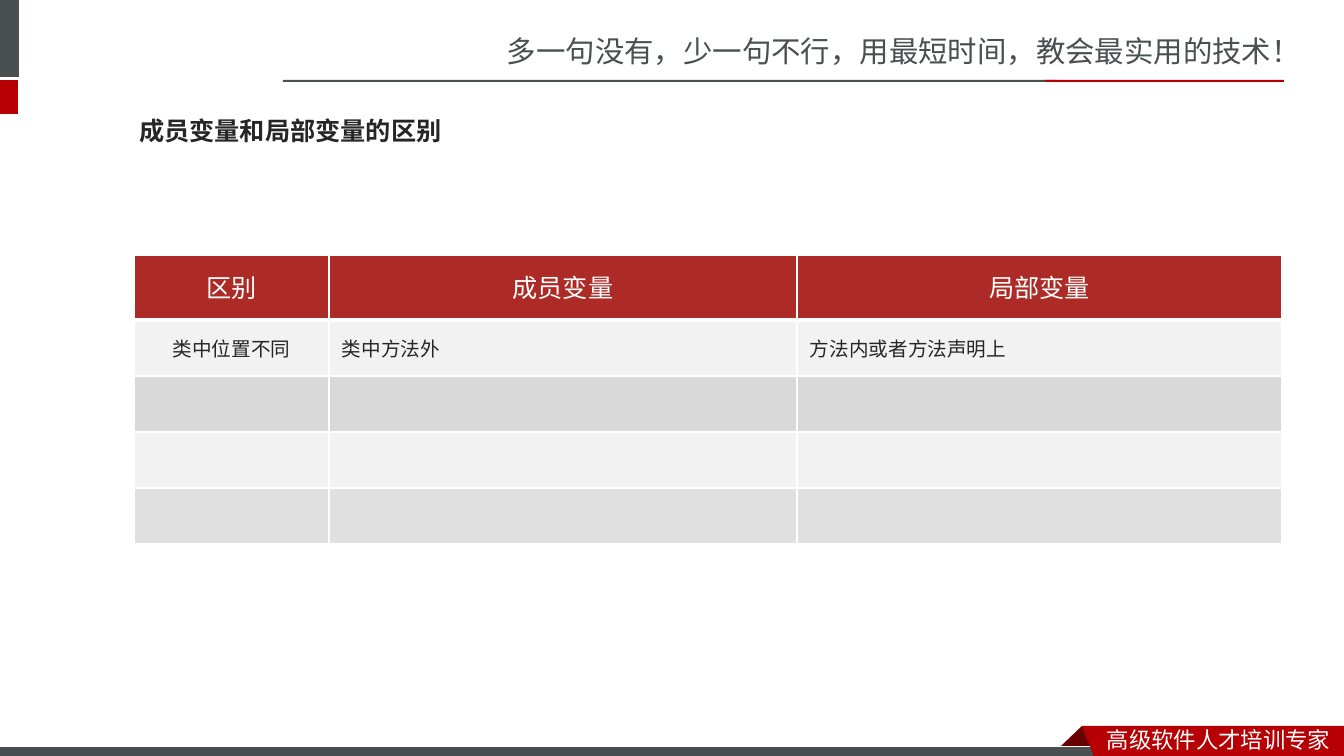
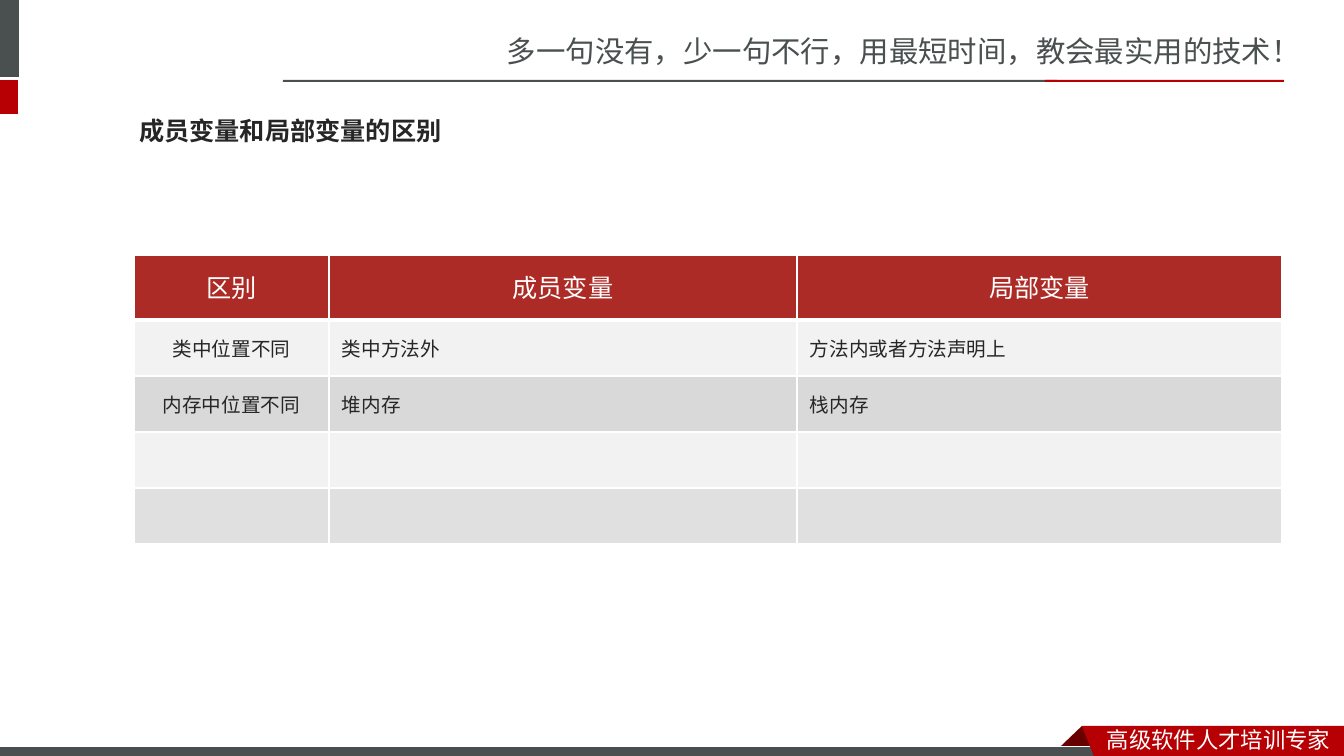
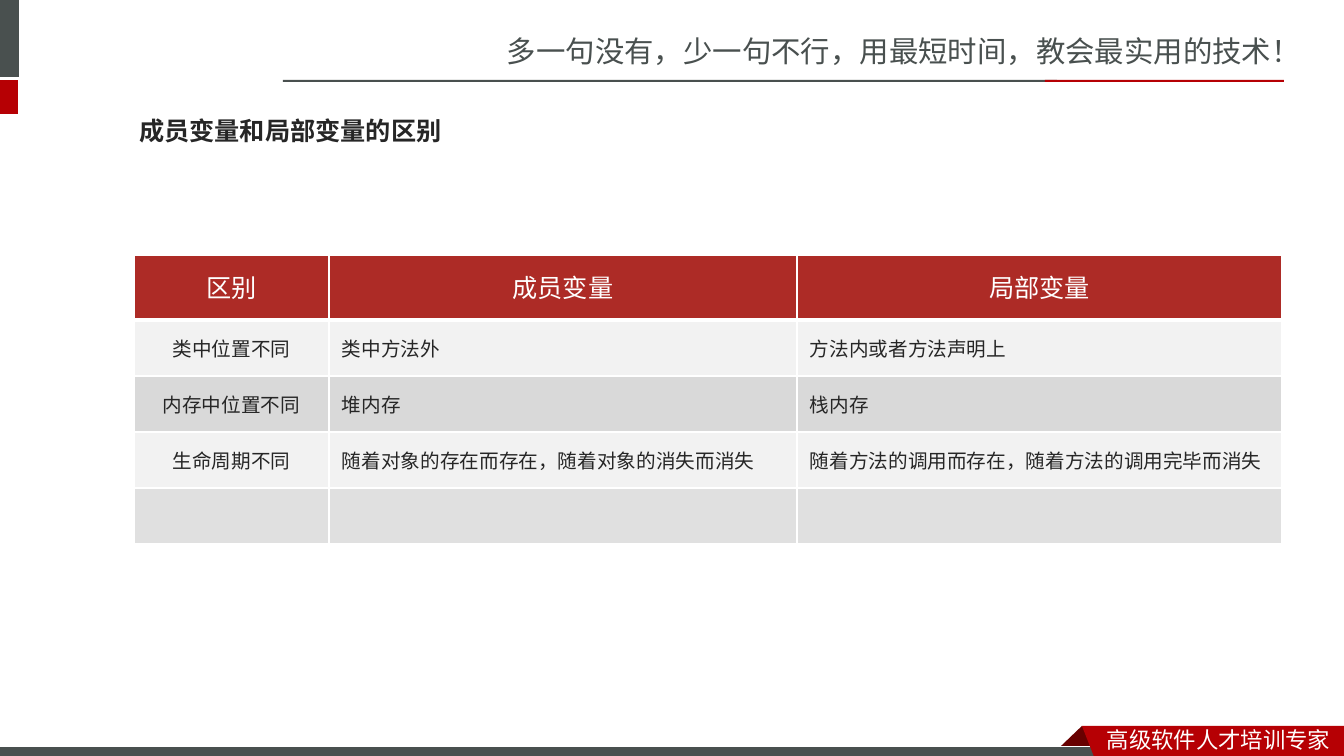
"""Build three slides that fill in a table row by row."""
from dataclasses import dataclass

from lxml.etree import SubElement
from pptx import Presentation
from pptx.dml.color import RGBColor
from pptx.enum.shapes import MSO_SHAPE
from pptx.enum.text import MSO_ANCHOR, PP_ALIGN
from pptx.oxml.ns import qn
from pptx.util import Pt

UNIT = 12192000 / 1344


@dataclass(frozen=True)
class Theme:
    """Colours, fonts and type sizes."""
    dark: str = "49504F"
    red: str = "B60004"
    fold: str = "680000"
    head: str = "AD2B26"
    pale: str = "F2F2F2"
    grey: str = "D9D9D9"
    ink: str = "262626"
    white: str = "FFFFFF"
    brand: str = "Noto Sans CJK SC"
    main: str = "Noto Sans CJK JP"
    slogan: int = 21
    title: int = 18
    tag: int = 16
    cell: int = 14


LOOK = Theme()
TITLE = "成员变量和局部变量的区别"
HEADS = ["区别", "成员变量", "局部变量"]
ROWS = [
    ["类中位置不同", "类中方法外", "方法内或者方法声明上"],
    ["内存中位置不同", "堆内存", "栈内存"],
    ["生命周期不同", "随着对象的存在而存在，随着对象的消失而消失",
     "随着方法的调用而存在，随着方法的调用完毕而消失"],
]
WIDTHS = [195, 468, 485]
HEAD_TALL, ROW_TALL, ROW_COUNT = 65, 56, 4


def px(size):
    """Turn pixels into EMU."""
    return round(size * UNIT)


def box(*sizes):
    """Turn a row of pixel lengths into EMU."""
    return [px(size) for size in sizes]


def style(frame, size, tint, face, bold=False):
    """Format every run of a text frame."""
    for para in frame.paragraphs:
        for run in para.runs:
            font = run.font
            font.size, font.bold, font.name = Pt(size), bold, face
            font.color.rgb = RGBColor.from_string(tint)
            SubElement(run._r.get_or_add_rPr(), qn("a:ea"), typeface=face)


def paint(shape, tint, edge=None):
    """Give a shape a flat fill and an optional thin line."""
    shape.shadow.inherit = False
    shape.fill.solid()
    shape.fill.fore_color.rgb = RGBColor.from_string(tint)
    if edge:
        shape.line.color.rgb = RGBColor.from_string(edge)
        shape.line.width = Pt(0.75)
    else:
        shape.line.fill.background()
    return shape


def bar(slide, place, tint, edge=None):
    """Add a filled rectangle."""
    shape = slide.shapes.add_shape(MSO_SHAPE.RECTANGLE, *box(*place))
    return paint(shape, tint, edge)


def outline(slide, points, tint):
    """Add a filled polygon."""
    pen = slide.shapes.build_freeform(*points[0], scale=UNIT)
    pen.add_line_segments(points[1:], close=True)
    return paint(pen.convert_to_shape(), tint)


def label(slide, place, text, size, tint):
    """Add a line of brand text."""
    shape = slide.shapes.add_textbox(*box(*place))
    shape.text_frame.word_wrap = True
    shape.text_frame.text = text
    style(shape.text_frame, size, tint, LOOK.brand)
    return shape


def dress(layout, slide):
    """Draw the shared parts and move them to the layout."""
    title, *others = layout.placeholders
    for other in others:
        layout.shapes.element.remove(other.element)
    title.left, title.top, title.width, title.height = box(79, 104, 1185, 57)
    parts = [
        label(slide, (497, 28, 847, 47), "多一句没有，少一句不行，用最短时间，教会最实用的技术！",
              LOOK.slogan, LOOK.dark),
        bar(slide, (-6, 0, 25, 77), LOOK.dark),
        bar(slide, (-6, 80, 24, 34), LOOK.red),
        bar(slide, (283, 80, 774, 2), LOOK.dark),
        bar(slide, (1045, 80, 239, 2), LOOK.red),
        outline(slide, [(1082, 726), (1104, 748), (1103, 749),
                        (1060, 749), (1059, 748)], LOOK.fold),
        bar(slide, (-1, 747, 1109, 12), LOOK.dark, LOOK.white),
        outline(slide, [(1082, 726), (1344, 726), (1344, 760),
                        (1095, 759)], LOOK.red),
        label(slide, (1097, 721, 247, 37), "高级软件人才培训专家",
              LOOK.tag, LOOK.white),
    ]
    for part in parts:
        layout.shapes.element.append(part.element)


def name(slide, text):
    """Fill the title placeholder."""
    frame = slide.shapes.title.text_frame
    frame.text = text
    frame.vertical_anchor = MSO_ANCHOR.MIDDLE
    frame.margin_left = px(60)
    frame.paragraphs[0].alignment = PP_ALIGN.LEFT
    frame.paragraphs[0].line_spacing = 0.9
    style(frame, LOOK.title, LOOK.ink, LOOK.main, True)


def rule(cell, top, base):
    """Draw white borders round a cell."""
    props = cell._tc.get_or_add_tcPr()
    for spot, (side, wide) in enumerate(
            [("L", 1), ("R", 1), ("T", top), ("B", base)]):
        line = SubElement(props, qn("a:ln" + side), w=str(Pt(wide)))
        fill = SubElement(line, qn("a:solidFill"))
        SubElement(fill, qn("a:srgbClr"), val=LOOK.white)
        props.insert(spot, line)


def tint_cell(cell, tint, solid=100):
    """Fill a cell, see-through below 100 percent."""
    cell.fill.solid()
    cell.fill.fore_color.rgb = RGBColor.from_string(tint)
    if solid < 100:
        fill = cell._tc.get_or_add_tcPr().find(qn("a:solidFill"))
        SubElement(fill[0], qn("a:alpha"), val=str(solid * 1000))


def write(cell, text, head, centre):
    """Put text in a cell."""
    cell.vertical_anchor = MSO_ANCHOR.MIDDLE
    cell.margin_left = cell.margin_right = px(10 if head else 13)
    cell.margin_top = cell.margin_bottom = px(5 if head else 7)
    cell.text_frame.text = text
    para = cell.text_frame.paragraphs[0]
    para.alignment = PP_ALIGN.CENTER if centre else PP_ALIGN.LEFT
    if head:
        para.line_spacing = Pt(24)
    style(cell.text_frame, LOOK.title if head else LOOK.cell,
          LOOK.white if head else LOOK.ink, LOOK.main)


def grid(slide, rows):
    """Add the table with its first rows filled in."""
    talls = [HEAD_TALL] + [ROW_TALL] * ROW_COUNT
    table = slide.shapes.add_table(
        len(talls), len(WIDTHS),
        *box(134, 255, sum(WIDTHS), sum(talls))).table
    table.horz_banding = False
    for column, wide in zip(table.columns, WIDTHS):
        column.width = px(wide)
    lines = [HEADS] + rows
    for i, tall in enumerate(talls):
        table.rows[i].height = px(tall)
        head = i == 0
        tint = LOOK.head if head else LOOK.pale if i % 2 else LOOK.grey
        for j in range(len(WIDTHS)):
            cell = table.cell(i, j)
            tint_cell(cell, tint, 80 if i == ROW_COUNT else 100)
            rule(cell, 3 if i == 1 else 1, 3 if head else 1)
            if i < len(lines):
                write(cell, lines[i][j], head, head or j == 0)


def main():
    """Build and save the deck."""
    deck = Presentation()
    deck.slide_width, deck.slide_height = box(1344, 756)
    layout = deck.slide_layouts[5]
    slides = [deck.slides.add_slide(layout) for _ in ROWS]
    dress(layout, slides[0])
    for count, slide in enumerate(slides, 1):
        name(slide, TITLE)
        grid(slide, ROWS[:count])
    deck.save("out.pptx")


if __name__ == "__main__":
    main()
